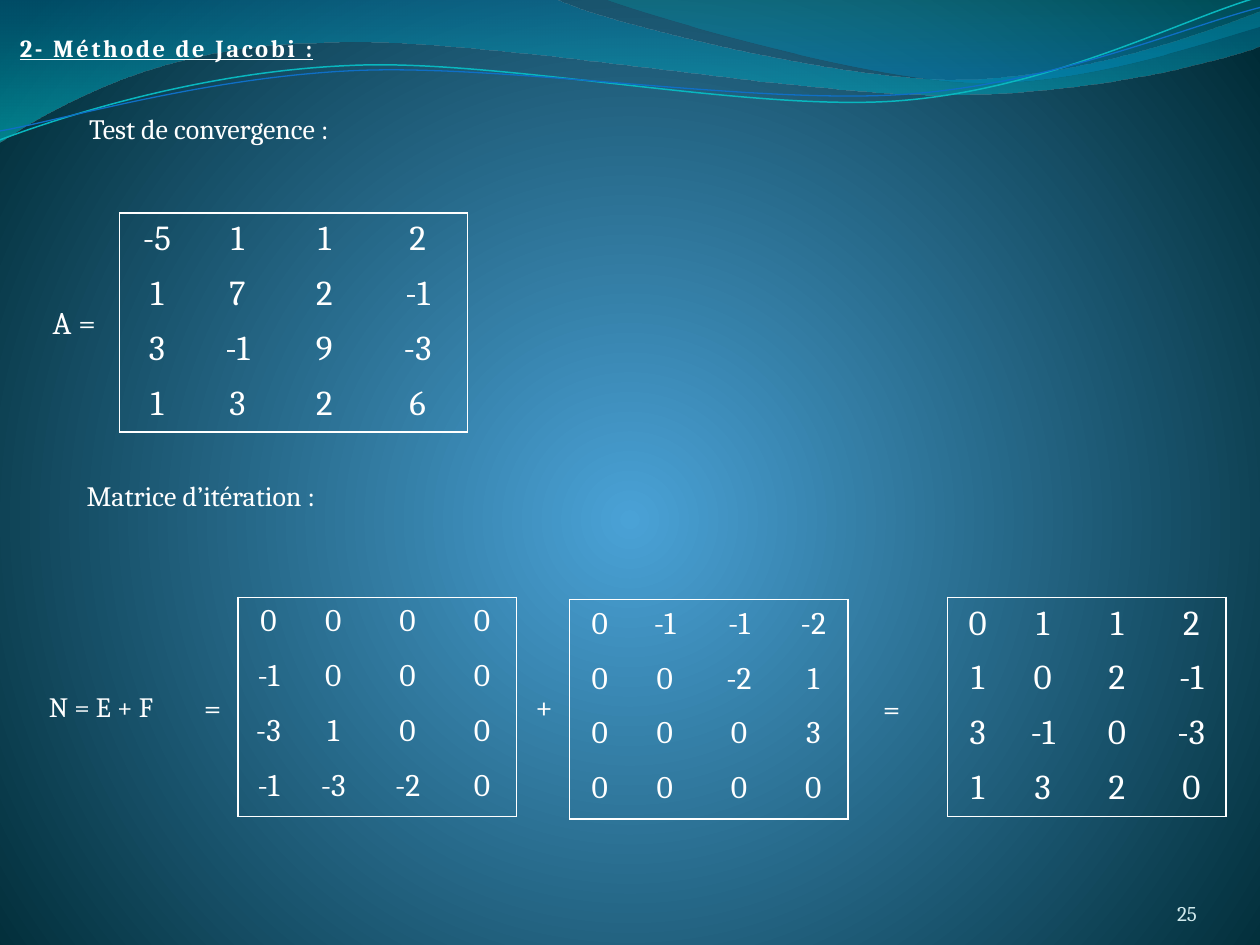
"""Build the Jacobi method slide with its convergence and iteration matrices."""
import math

import pptx
import pptx.dml.color
import pptx.enum.text
import pptx.oxml
import pptx.oxml.ns
import pptx.util
from lxml import etree

Inches, Pt = pptx.util.Inches, pptx.util.Pt
RGBColor = pptx.dml.color.RGBColor
PP_ALIGN = pptx.enum.text.PP_ALIGN
qn = pptx.oxml.ns.qn

WHITE = RGBColor(0xFF, 0xFF, 0xFF)
PALE = RGBColor(0xD1, 0xEA, 0xED)
GLOW = RGBColor(0x4A, 0xA2, 0xD6)
NIGHT = RGBColor(0x00, 0x2B, 0x36)
OCEAN = RGBColor(0x00, 0x74, 0xA0)
TURQUOISE = RGBColor(0x00, 0xC4, 0xCD)
AZURE = RGBColor(0x00, 0x8A, 0xBF)
TEAL = RGBColor(0x00, 0xA0, 0xA8)
CYAN = RGBColor(0x09, 0xB7, 0xBF)
BLUE = RGBColor(0x0F, 0x6F, 0xC6)
FONT = "Cambria"
NO_STYLE = "{2D5ABB26-0587-4C30-8999-92F81FD0307C}"
TILT = 2.7


def set_gradient(fill, element, stops, angle=None):
    fill.gradient()
    grad = element.find(".//" + qn("a:gradFill"))
    for child in list(grad):
        grad.remove(child)
    gs_list = etree.SubElement(grad, qn("a:gsLst"))
    for pos, color, alpha in stops:
        gs = etree.SubElement(gs_list, qn("a:gs"), pos=str(pos * 1000))
        clr = etree.SubElement(gs, qn("a:srgbClr"), val=str(color))
        if alpha < 100:
            etree.SubElement(clr, qn("a:alpha"), val=str(alpha * 1000))
    if angle is None:
        path = etree.SubElement(grad, qn("a:path"))
        path.set("path", "circle")
        etree.SubElement(path, qn("a:fillToRect"), l="50000", t="55000", r="50000", b="45000")
    else:
        etree.SubElement(grad, qn("a:lin"), ang=str(angle * 60000), scaled="1")


def add_wave(shapes, start, segments, close):
    points = [seg[i:i + 2] for seg in segments for i in range(0, len(seg), 2)]
    fb = shapes.build_freeform(Inches(start[0]), Inches(start[1]))
    fb.add_line_segments([(Inches(x), Inches(y)) for x, y in points], close=close)
    sp = fb.convert_to_shape()
    sp.shadow.inherit = False
    lines = iter(sp._element.findall(".//" + qn("a:lnTo")))
    for seg in segments:
        line = next(lines)
        if len(seg) == 6:
            curve = etree.Element(qn("a:cubicBezTo"))
            line.addprevious(curve)
            for control in (line, next(lines), next(lines)):
                curve.append(control[0])
                control.getparent().remove(control)
    return sp


prs = pptx.Presentation()
prs.slide_width, prs.slide_height = Inches(10), Inches(7.5)
s = prs.slides.add_slide(prs.slide_layouts[6])
set_gradient(s.background.fill, s._element, [(0, GLOW, 100), (100, NIGHT, 100)])

bands = [
    ((0, 0), [(4.4, -0.01), (4.76, 0.17, 6.64, 0.63, 7.58, 0.63),
              (8.53, 0.63, 9.58, 0.26, 10, 0.09), (10.01, 0.36),
              (9.83, 0.44, 8.7, 0.76, 7.46, 0.75),
              (6.22, 0.75, 3.82, 0.28, 2.57, 0.34),
              (1.29, 0.35, 0.46, 0.83, -0.01, 1.13), (0, 0)],
     [(0, OCEAN, 45), (100, TURQUOISE, 55)], 90),
    ((4.79, -0.01), [(5.09, 0.11, 6.82, 0.62, 7.69, 0.65),
                     (8.56, 0.69, 9.61, 0.32, 10, 0.21), (10, 0), (4.79, -0.01)],
     [(20, AZURE, 45), (100, TEAL, 30)], 270),
]
for start, segments, stops, angle in bands:
    sp = add_wave(s.shapes, start, segments, True)
    set_gradient(sp.fill, sp._element, stops, angle)
    sp.line.fill.background()

strands = [
    ((0, 1.11), [(0.48, 0.93, 1.58, 0.57, 2.77, 0.52),
                 (3.95, 0.46, 5.93, 0.89, 7.13, 0.8),
                 (8.33, 0.71, 9.38, 0.15, 9.98, -0.02)], (4.99, 0.58), CYAN, 0.85),
    ((0, 1.04), [(0.47, 0.96, 1.64, 0.61, 2.83, 0.56),
                 (4.03, 0.51, 5.97, 0.83, 7.17, 0.75),
                 (8.36, 0.67, 9.41, 0.21, 10, 0.06)], (5, 0.59), BLUE, 0.75),
]
cos, sin = math.cos(math.radians(TILT)), math.sin(math.radians(TILT))
for start, segments, (cx, cy), color, width in strands:
    level = []
    for seg in [start] + segments:
        flat = []
        for x, y in zip(seg[::2], seg[1::2]):
            flat += [cx + (x - cx) * cos - (y - cy) * sin, cy + (x - cx) * sin + (y - cy) * cos]
        level.append(flat)
    sp = add_wave(s.shapes, level[0], level[1:], False)
    sp.rotation = 360 - TILT
    sp.fill.background()
    sp.line.color.rgb = color
    sp.line.width = Pt(width)

wide, narrow = (0.59, 0.69, 0.69, 0.79), (0.48, 0.55, 0.63, 0.55)
items = [
    ("25", 8.67, 6.95, 0.83, 0.4, 12),
    ("2- Méthode de Jacobi :", 0.06, 0.21, 3.68, 0.33, 14),
    ("A =", 0.32, 2.36, 0.63, 0.4, 18),
    ([(-5, 1, 1, 2), (1, 7, 2, -1), (3, -1, 9, -3), (1, 3, 2, 6)], 0.95, 1.69, wide, 1.74, 20),
    ("Test de convergence :", 0.61, 0.84, 2.66, 0.37, 16),
    ("=", 6.91, 5.42, 0.43, 0.4, 18),
    ([(0, 1, 1, 2), (1, 0, 2, -1), (3, -1, 0, -3), (1, 3, 2, 0)], 7.52, 4.74, narrow, 1.74, 20),
    ("Matrice d’itération :", 0.59, 3.75, 2.3, 0.37, 16),
    ("N = E + F", 0.29, 5.42, 1.23, 0.37, 16),
    ("=", 1.52, 5.41, 0.38, 0.4, 18),
    ([(0, 0, 0, 0), (-1, 0, 0, 0), (-3, 1, 0, 0), (-1, -3, -2, 0)], 1.89, 4.74, narrow, 1.74, 18),
    ("+", 4.15, 5.4, 0.38, 0.4, 18),
    ([(0, -1, -1, -2), (0, 0, -2, 1), (0, 0, 0, 3), (0, 0, 0, 0)], 4.52, 4.76, narrow, 1.74, 18),
]
for content, x, y, w, h, size in items:
    if isinstance(content, str):
        tf = s.shapes.add_textbox(Inches(x), Inches(y), Inches(w), Inches(h)).text_frame
        tf.word_wrap = True
        p = tf.paragraphs[0]
        r = p.add_run()
        r.text = content
        r.font.name, r.font.size = FONT, Pt(size)
        r.font.color.rgb = WHITE
        if content == "25":
            tf.margin_left = tf.margin_right = tf.margin_top = tf.margin_bottom = 0
            tf.vertical_anchor = pptx.enum.text.MSO_ANCHOR.BOTTOM
            p.alignment = PP_ALIGN.RIGHT
            r.font.color.rgb = PALE
        else:
            tf.auto_size = pptx.enum.text.MSO_AUTO_SIZE.SHAPE_TO_FIT_TEXT
        if content.startswith("2-"):
            r.font.bold = r.font.underline = True
            r.font._element.set("spc", "147")
        continue
    frame = s.shapes.add_table(4, 4, Inches(x), Inches(y), Inches(sum(w)), Inches(h))
    table = frame.table
    table.first_row = table.horz_banding = False
    table._tbl.tblPr.find(qn("a:tableStyleId")).text = NO_STYLE
    for column, width in zip(table.columns, w):
        column.width = Inches(width)
    for i, row in enumerate(content):
        for j, value in enumerate(row):
            cell = table.cell(i, j)
            tc_pr = cell._tc.get_or_add_tcPr()
            edges = (("a:lnL", j == 0), ("a:lnR", j == 3), ("a:lnT", i == 0), ("a:lnB", i == 3))
            for tag, outer in edges:
                if outer:
                    ln = etree.SubElement(tc_pr, qn(tag), w=str(Pt(0.96)))
                    solid = etree.SubElement(ln, qn("a:solidFill"))
                    etree.SubElement(solid, qn("a:srgbClr"), val=str(WHITE))
            cell.fill.background()
            p = cell.text_frame.paragraphs[0]
            p.alignment = PP_ALIGN.CENTER
            r = p.add_run()
            r.text = str(value)
            r.font.name, r.font.size = FONT, Pt(size)
            r.font.color.rgb = WHITE

prs.save("out.pptx")
